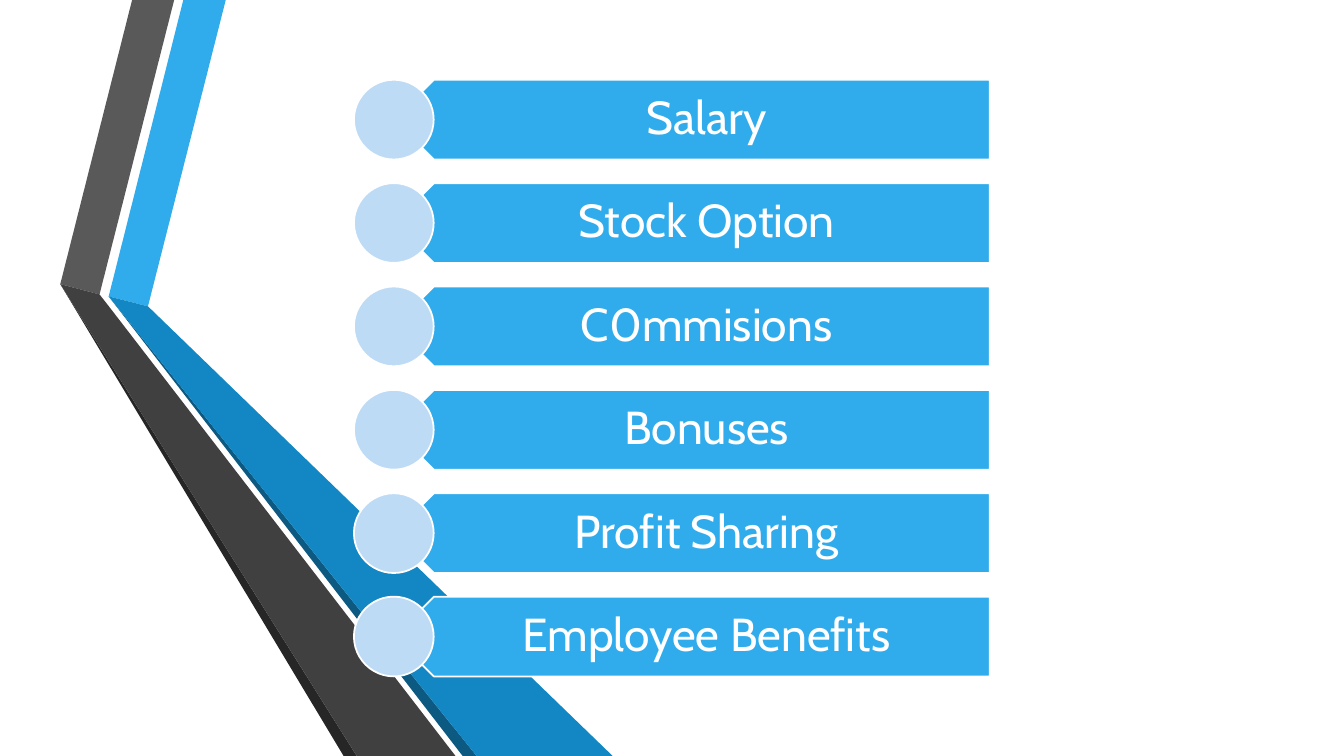
from pptx import Presentation
from pptx.dml.color import RGBColor
from pptx.enum.shapes import MSO_SHAPE
from pptx.enum.text import MSO_ANCHOR, PP_ALIGN
from pptx.util import Cm, Pt

BLUE, PALE, WHITE = "30ACEC", "BEDBF6", "FFFFFF"
HEIGHT = 19.05
RIBBONS = [
    (BLUE, [(2.74, 7.47), (3.73, 7.72), (5.69, 0), (4.62, 0)]),
    ("595959", [(2.51, 7.42), (4.39, 0), (3.33, 0), (1.52, 7.16)]),
    ("262626", [(1.52, 7.16), (8.66, HEIGHT), (8.99, HEIGHT)]),
    ("0C5A82", [(2.74, 7.47), (11.66, HEIGHT), (12.01, HEIGHT)]),
    ("1287C3", [(2.74, 7.47), (12.01, HEIGHT), (15.44, HEIGHT), (3.73, 7.72)]),
    ("404040", [(11.48, HEIGHT), (2.69, 7.65), (2.51, 7.42), (1.52, 7.16), (8.99, HEIGHT)]),
]
ITEMS = ["Salary", "Stock Option", "C0mmisions", "Bonuses", "Profit Sharing", "Employee Benefits"]
TOP, PITCH, SIZE = 2.01, 2.605, 2.01


def rgb(value):
    return RGBColor.from_string(value)


def apply(target, values):
    for name, value in values.items():
        setattr(target, name, value)


class Deck:
    """Draws styled elements on the current slide."""

    frame = {
        "word_wrap": True, "vertical_anchor": MSO_ANCHOR.MIDDLE,
        "margin_left": Cm(0.89), "margin_right": Cm(0.66),
        "margin_top": Cm(0.36), "margin_bottom": Cm(0.36),
    }
    paragraph = {"alignment": PP_ALIGN.CENTER, "line_spacing": 0.9, "space_after": Pt(11.5)}
    font = {"name": "Cabin", "size": Pt(33)}

    def __init__(self, prs):
        self.s = prs.slides.add_slide(prs.slide_layouts[6])

    def paint(self, sp, fill, line=None):
        sp.shadow.inherit = False
        sp.fill.solid()
        sp.fill.fore_color.rgb = rgb(fill)
        if line:
            sp.line.color.rgb = rgb(line)
            sp.line.width = Pt(1.25)
        else:
            sp.line.fill.background()

    def ribbon(self, fill, points):
        start, *rest = [(Cm(x), Cm(y)) for x, y in points]
        builder = self.s.shapes.build_freeform(*start)
        builder.add_line_segments(rest, close=True)
        self.paint(builder.convert_to_shape(), fill)

    def shape(self, kind, box, fill, rotation=0):
        sp = self.s.shapes.add_shape(kind, *map(Cm, box))
        sp.rotation = rotation
        self.paint(sp, fill, WHITE)

    def label(self, text, box):
        tf = self.s.shapes.add_textbox(*map(Cm, box)).text_frame
        apply(tf, self.frame)
        p = tf.paragraphs[0]
        apply(p, self.paragraph)
        r = p.add_run()
        r.text = text
        apply(r.font, self.font)
        r.font.color.rgb = rgb(WHITE)


def main():
    prs = Presentation()
    prs.slide_width, prs.slide_height = Cm(33.87), Cm(HEIGHT)
    deck = Deck(prs)
    for fill, points in RIBBONS:
        deck.ribbon(fill, points)
    for i, item in enumerate(ITEMS):
        top = TOP + i * PITCH
        deck.shape(MSO_SHAPE.PENTAGON, (9.93, top, 15.01, SIZE), BLUE, 180)
        deck.label(item, (10.44, top, 14.5, SIZE))
        deck.shape(MSO_SHAPE.OVAL, (8.92, top, SIZE, SIZE), PALE)
    prs.save("out.pptx")


if __name__ == "__main__":
    main()
